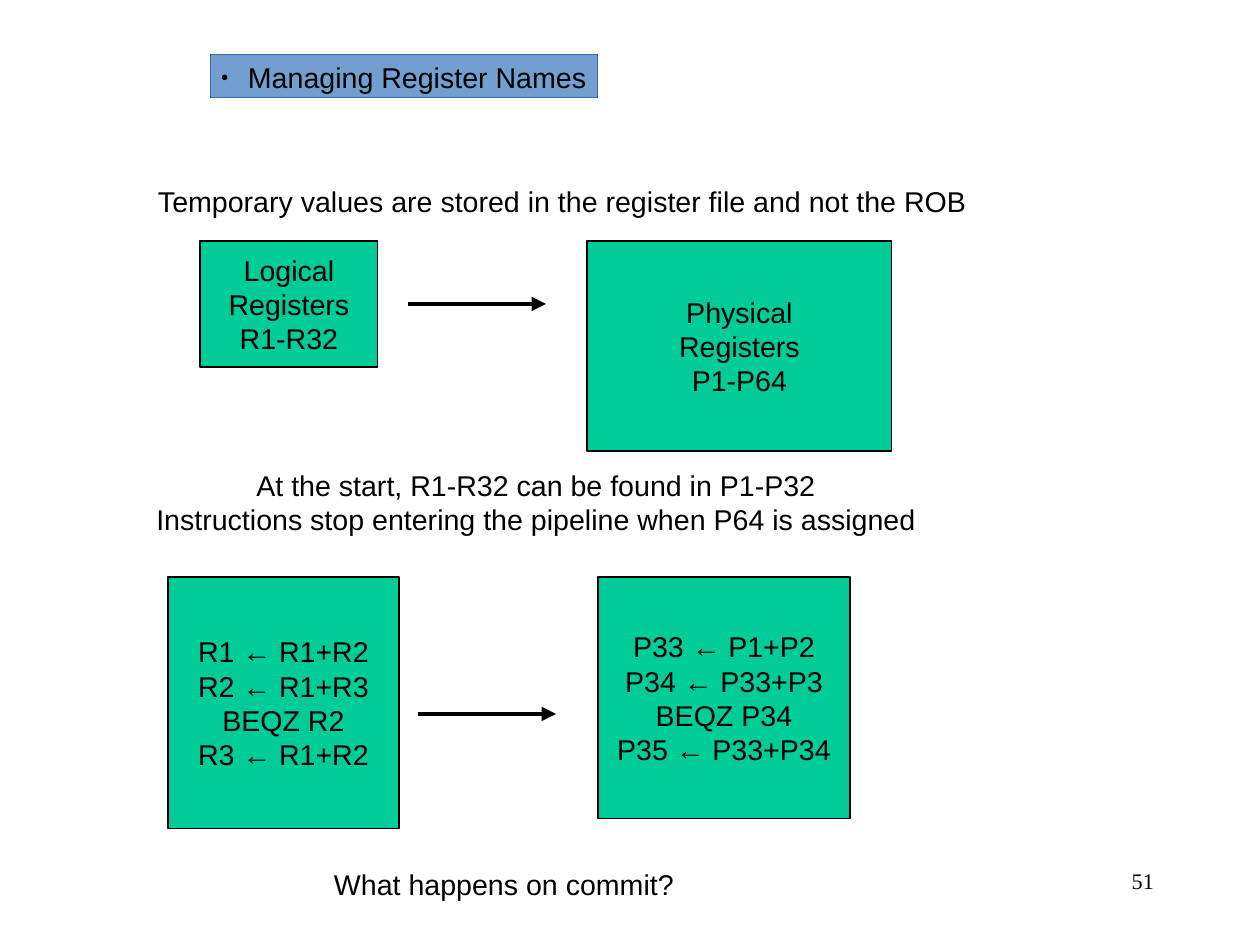
from pptx import Presentation, util as u
from pptx.dml.color import RGBColor
from pptx.enum import shapes, text
from pptx.oxml import parse_xml
from pptx.oxml.ns import nsdecls

PX = 8000
THEME = {
    "ink": RGBColor.from_string("000000"),
    "box": RGBColor.from_string("00CC99"),
    "title": RGBColor.from_string("729FCF"),
    "title_line": RGBColor.from_string("3465A4"),
    "font": "Arial",
    "number_font": "Times New Roman",
    "body": u.Pt(18),
    "number": u.Pt(14),
    "box_line": u.Pt(0.75),
    "arrow_line": u.Pt(3),
}
LEFT, CENTER, RIGHT = text.PP_ALIGN.LEFT, text.PP_ALIGN.CENTER, text.PP_ALIGN.RIGHT
TOP, MIDDLE = text.MSO_ANCHOR.TOP, text.MSO_ANCHOR.MIDDLE


def px(*lengths):
    return [n * PX for n in lengths]


def write(sp, words, align=LEFT, anchor=TOP, font="font", size="body"):
    tf = sp.text_frame
    tf.text = words
    tf.word_wrap = False
    tf.auto_size = text.MSO_AUTO_SIZE.NONE
    tf.vertical_anchor = anchor
    tf.margin_left = tf.margin_right = 11 * PX
    tf.margin_top = tf.margin_bottom = 6 * PX
    for p in tf.paragraphs:
        p.alignment = align
        for r in p.runs:
            r.font.name = THEME[font]
            r.font.size = THEME[size]
            r.font.color.rgb = THEME["ink"]


prs = Presentation()
prs.slide_width, prs.slide_height = px(1260, 945)
s = prs.slides.add_slide(prs.slide_layouts[5])

title = s.shapes.title
title.left, title.top, title.width, title.height = px(210, 55, 388, 43)
title.fill.solid()
title.fill.fore_color.rgb = THEME["title"]
title.line.color.rgb = THEME["title_line"]
title.line.width = 0
write(title, "Managing Register Names")
title.text_frame.margin_right = 0
title.text_frame.margin_top = 5 * PX
pPr = title.text_frame.paragraphs[0]._p.get_or_add_pPr()
pPr.set("marL", str(27 * PX))
pPr.set("indent", str(-27 * PX))
for bullet in (
    '<a:buClr {}><a:srgbClr val="000000"/></a:buClr>',
    '<a:buSzPct {} val="45000"/>',
    '<a:buFont {} typeface="Arial"/>',
    '<a:buChar {} char="●"/>',
):
    pPr.append(parse_xml(bullet.format(nsdecls("a"))))

boxes = [
    (200, 241, 178, 126, "Logical\nRegisters\nR1-R32"),
    (587, 241, 305, 210, "Physical\nRegisters\nP1-P64"),
    (168, 577, 231, 252, "R1 ← R1+R2\nR2 ← R1+R3\nBEQZ R2\nR3 ← R1+R2"),
    (598, 577, 252, 242, "P33 ← P1+P2\nP34 ← P33+P3\nBEQZ P34\nP35 ← P33+P34"),
]
for *place, words in boxes:
    sp = s.shapes.add_shape(shapes.MSO_SHAPE.RECTANGLE, *px(*place))
    sp.shadow.inherit = False
    sp.fill.solid()
    sp.fill.fore_color.rgb = THEME["box"]
    sp.line.color.rgb = THEME["ink"]
    sp.line.width = THEME["box_line"]
    write(sp, words, CENTER, MIDDLE)

for x, y in ((408, 304), (418, 714)):
    arrow = s.shapes.add_connector(shapes.MSO_CONNECTOR.STRAIGHT, *px(x, y, x + 138, y))
    arrow.line.color.rgb = THEME["ink"]
    arrow.line.width = THEME["arrow_line"]
    arrow.line._get_or_add_ln().append(parse_xml(f'<a:tailEnd {nsdecls("a")} type="triangle"/>'))
    arrow._element.spPr.append(parse_xml(f'<a:effectLst {nsdecls("a")}/>'))

start = "At the start, R1-R32 can be found in P1-P32"
stop = "Instructions stop entering the pipeline when P64 is assigned"
notes = [
    (147, 178, 834, 46, "Temporary values are stored in the register file and not the ROB", LEFT),
    (145, 462, 782, 80, f"{start}\n{stop}", CENTER),
    (323, 861, 362, 46, "What happens on commit?", LEFT),
]
for *place, words, align in notes:
    write(s.shapes.add_textbox(*px(*place)), words, align)

number = s.shapes.add_textbox(*px(902, 861, 263, 63))
write(number, "51", RIGHT, font="number_font", size="number")
number.text_frame.word_wrap = True

prs.save("out.pptx")
